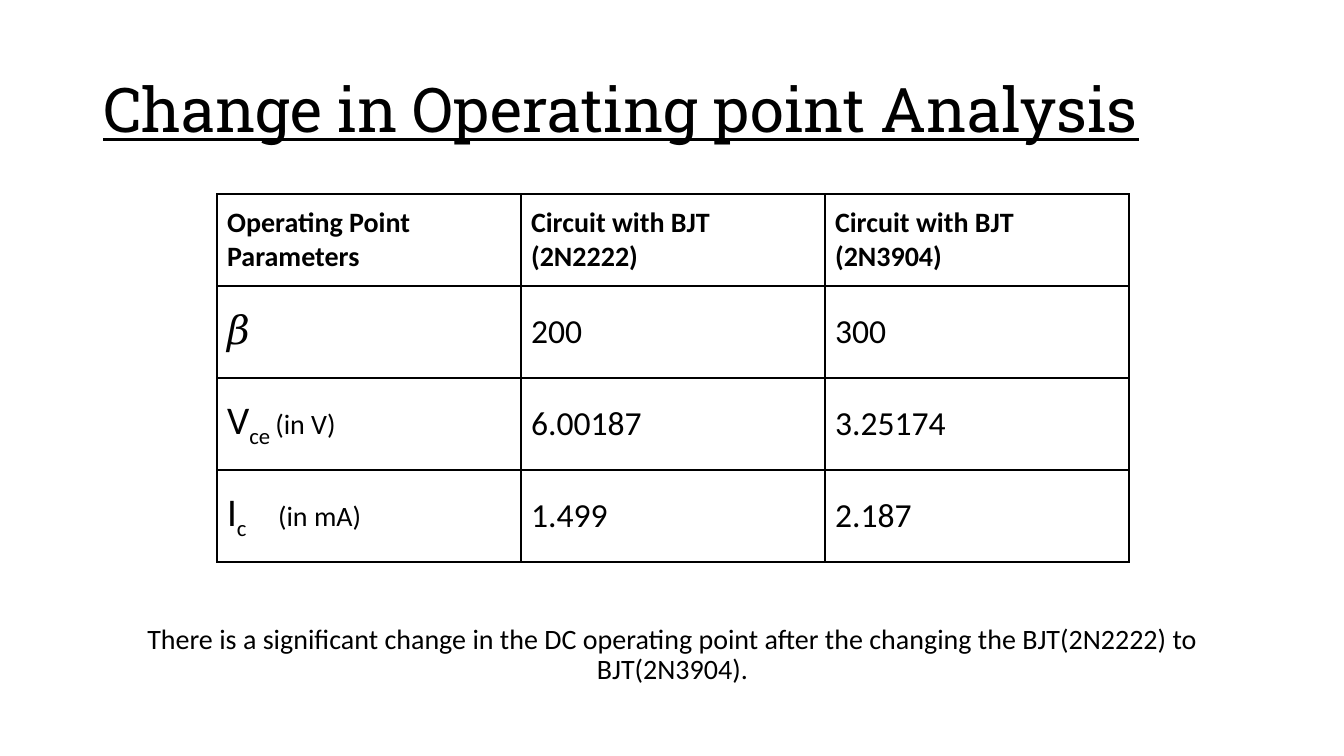
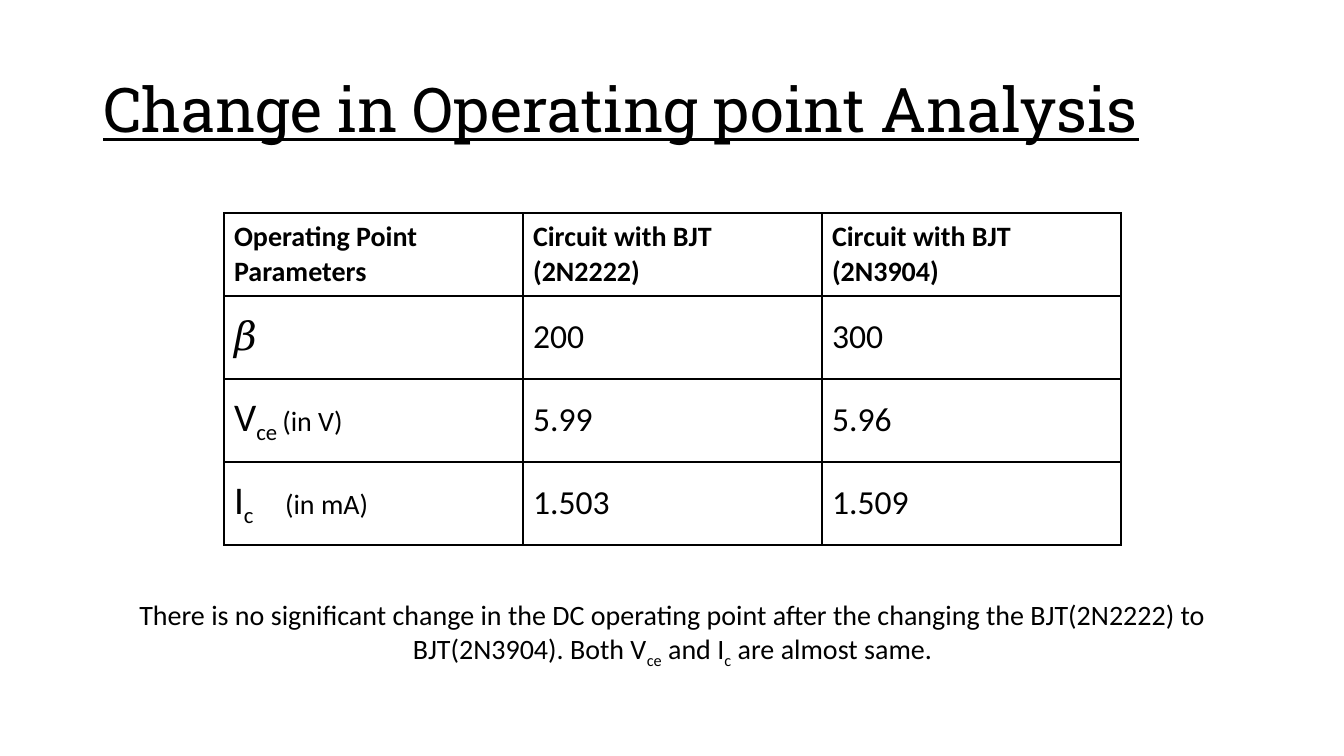
from lxml import etree
from pptx import Presentation
from pptx.dml.color import RGBColor
from pptx.enum.text import MSO_ANCHOR, PP_ALIGN
from pptx.oxml.ns import qn
from pptx.util import Pt

MIDDLE = MSO_ANCHOR.MIDDLE
LEFT, CENTER = PP_ALIGN.LEFT, PP_ALIGN.CENTER

COLORS = {"ink": "000000", "paper": "FFFFFF"}
TITLE_FONT, TEXT_FONT, SYMBOL_FONT = "Roboto Slab", "Calibri", "Cambria"
SCALE = 12192000 / 1344
BORDER_WIDTH = Pt(1)
UNIT_TAB = 51


def px(length):
    """Turn whole pixels into EMU."""
    return round(length * SCALE)


def write(paragraph, text, size=20, font=TEXT_FONT, bold=False, underline=False, subscript=False):
    """Append one formatted run to a paragraph."""
    run = paragraph.add_run()
    run.text = text
    run.font.size = Pt(size)
    run.font.name = font
    run.font.bold = bold
    run.font.underline = underline
    run.font.color.rgb = RGBColor.from_string(COLORS["ink"])
    if subscript:
        run._r.get_or_add_rPr().set("baseline", "-25000")


HEADINGS = ["Operating Point Parameters", "Circuit with BJT (2N2222)", "Circuit with BJT (2N3904)"]
BIG = {"size": 28}
BIG_SUB = {"size": 28, "subscript": True}
SUB = {"subscript": True}
PARAMETERS = [
    [("\U0001d6fd", {"size": 28, "font": SYMBOL_FONT})],
    [("V", BIG), ("ce ", BIG_SUB), ("(in V)", {})],
    [("I", BIG), ("c", BIG_SUB), ("\t(in mA)", {})],
]

ANALYSES = [
    {
        "origin": (217, 194), "column": 304, "row": 92,
        "readings": [("200", "300"), ("6.00187", "3.25174"), ("1.499", "2.187")],
        "note_top": 620, "note_spacing": 0.9,
        "note": [("There is a significant change in the DC operating point after the "
                  "changing the BJT(2N2222) to BJT(2N3904).", {})],
    },
    {
        "origin": (224, 213), "column": 299, "row": 83,
        "readings": [("200", "300"), ("5.99", "5.96"), ("1.503", "1.509")],
        "note_top": 593, "note_spacing": 1.0,
        "note": [("There is no significant change in the DC operating point after the "
                  "changing the BJT(2N2222) to BJT(2N3904). Both V", {}),
                 ("ce", SUB), (" and I", {}), ("c", SUB), (" are almost same.", {})],
    },
]

deck = Presentation()
deck.slide_width, deck.slide_height = px(1344), px(756)
title_only = deck.slide_layouts[5]

for analysis in ANALYSES:
    slide = deck.slides.add_slide(title_only)
    slide.background.fill.solid()
    slide.background.fill.fore_color.rgb = RGBColor.from_string(COLORS["paper"])

    title = slide.shapes.title
    title.left, title.top, title.width, title.height = px(93), px(40), px(1159), px(146)
    title.text_frame.vertical_anchor = MIDDLE
    heading = title.text_frame.paragraphs[0]
    heading.alignment = LEFT
    heading.line_spacing = 0.9
    write(heading, "Change in Operating point Analysis", size=44, font=TITLE_FONT, underline=True)

    # Each cell is a list of (text, format) runs
    rows = [[[(name, {"bold": True})] for name in HEADINGS]]
    for parameter, values in zip(PARAMETERS, analysis["readings"]):
        rows.append([parameter] + [[(value, {"size": 24})] for value in values])

    left, top = analysis["origin"]
    table = slide.shapes.add_table(
        len(rows), len(HEADINGS), px(left), px(top),
        px(analysis["column"] * len(HEADINGS)), px(analysis["row"] * len(rows))).table
    table.first_row = table.horz_banding = False
    for column in table.columns:
        column.width = px(analysis["column"])
    for row_index, row in enumerate(rows):
        table.rows[row_index].height = px(analysis["row"])
        for column_index, runs in enumerate(row):
            cell = table.cell(row_index, column_index)
            cell.vertical_anchor = MIDDLE
            cell_format = cell._tc.get_or_add_tcPr()
            for side in ("lnL", "lnR", "lnT", "lnB"):
                border = etree.SubElement(cell_format, qn(f"a:{side}"), w=str(BORDER_WIDTH))
                stroke = etree.SubElement(border, qn("a:solidFill"))
                etree.SubElement(stroke, qn("a:srgbClr"), val=COLORS["ink"])
            cell.fill.background()
            entry = cell.text_frame.paragraphs[0]
            for text, style in runs:
                write(entry, text, **style)
                if "\t" in text:
                    tabs = etree.SubElement(entry._p.get_or_add_pPr(), qn("a:tabLst"))
                    etree.SubElement(tabs, qn("a:tab"), pos=str(px(UNIT_TAB)), algn="l")

    note = slide.shapes.add_textbox(px(93), px(analysis["note_top"]), px(1159), px(76))
    note.text_frame.word_wrap = True
    conclusion = note.text_frame.paragraphs[0]
    conclusion.alignment = CENTER
    conclusion.line_spacing = analysis["note_spacing"]
    for text, style in analysis["note"]:
        write(conclusion, text, **style)

deck.save("out.pptx")
